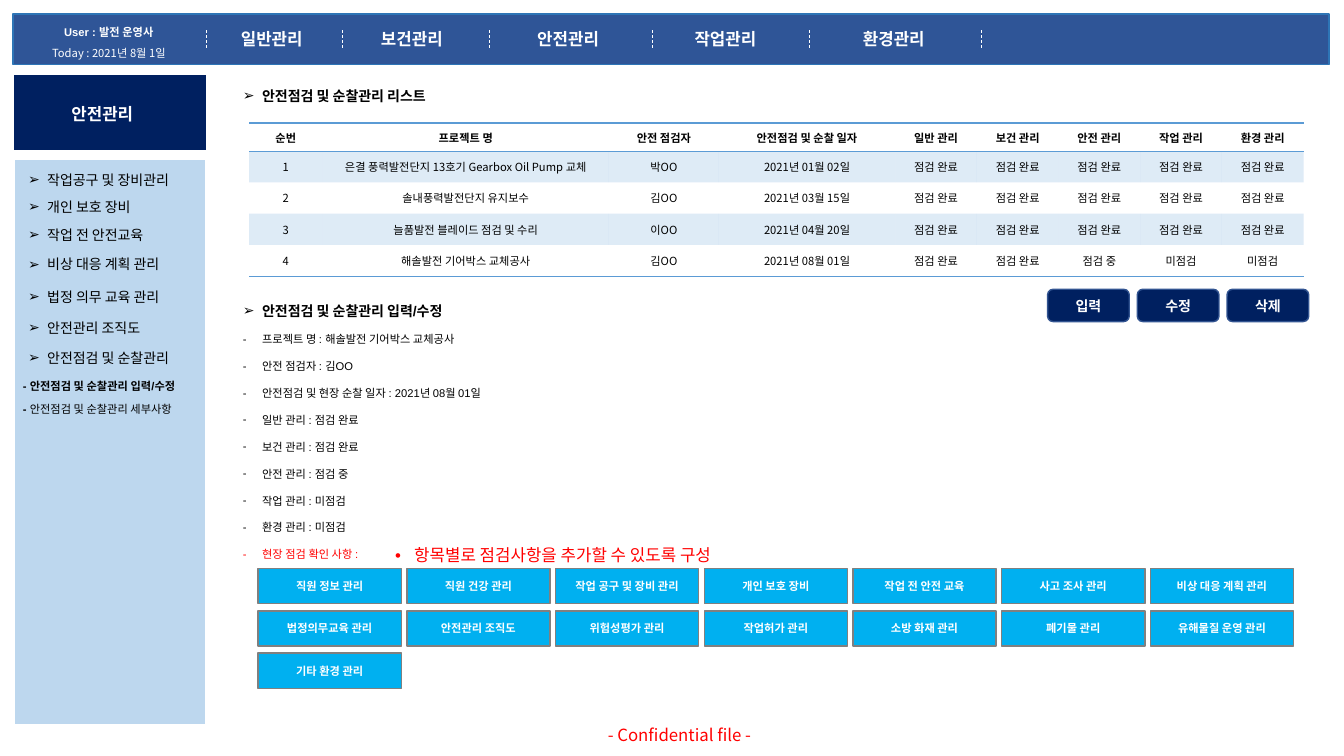
from lxml import etree
from pptx import Presentation
from pptx.dml.color import RGBColor
from pptx.enum import dml, shapes, text
from pptx.oxml import ns
from pptx.util import Inches, Pt

NAVY = RGBColor(0x00, 0x20, 0x60)
BAR_BLUE = RGBColor(0x2F, 0x55, 0x97)
BAR_EDGE = RGBColor(0x2E, 0x75, 0xB6)
BUTTON_EDGE = RGBColor(0x32, 0x54, 0x91)
PALE_BLUE = RGBColor(0xBD, 0xD7, 0xEE)
TABLE_BLUE = RGBColor(0x5B, 0x9B, 0xD5)
SKY = RGBColor(0x00, 0xB0, 0xF0)
GRAY = RGBColor(0x80, 0x80, 0x80)
WHITE = RGBColor(0xFF, 0xFF, 0xFF)
BLACK = RGBColor(0x00, 0x00, 0x00)
RED = RGBColor(0xFF, 0x00, 0x00)
ARIAL = "Arial"
NOTO = "Noto Sans CJK KR"
NO_GRID_STYLE = "{2D5ABB26-0587-4C30-8999-92F81FD0307C}"
RECT = shapes.MSO_SHAPE.RECTANGLE
CENTER = text.PP_ALIGN.CENTER

MENU = [("일반관리", 2.29), ("보건관리", 3.68), ("안전관리", 5.23),
        ("작업관리", 6.79), ("환경관리", 8.46)]
MENU_DIVIDERS = [2.05, 3.4, 4.85, 6.47, 8.03, 9.73]
SIDE_ITEMS = [("작업공구 및 장비관리", 1.65), ("개인 보호 장비", 1.92),
              ("작업 전 안전교육", 2.2), ("비상 대응 계획 관리", 2.49),
              ("법정 의무 교육 관리", 2.81), ("안전관리 조직도", 3.12),
              ("안전점검 및 순찰관리", 3.42)]
DONE = "점검 완료"
GEARBOX_PROJECT = "해솔발전 기어박스 교체공사"
INSPECTIONS = [
    ["순번", "프로젝트 명", "안전 점검자", "안전점검 및 순찰 일자",
     "일반 관리", "보건 관리", "안전 관리", "작업 관리", "환경 관리"],
    ["1", "은결 풍력발전단지 13호기 Gearbox Oil Pump 교체", "박OO",
     "2021년 01월 02일"] + [DONE] * 5,
    ["2", "솔내풍력발전단지 유지보수", "김OO", "2021년 03월 15일"] + [DONE] * 5,
    ["3", "늘품발전 블레이드 점검 및 수리", "이OO", "2021년 04월 20일"] + [DONE] * 5,
    ["4", GEARBOX_PROJECT, "김OO", "2021년 08월 01일",
     DONE, DONE, "점검 중", "미점검", "미점검"],
]
COLUMN_WIDTHS = [0.73, 2.84, 1.09, 1.75] + [0.81] * 5
ROW_HEIGHTS = [0.28] + [0.31] * 4
DETAILS = ["프로젝트 명 : " + GEARBOX_PROJECT, "안전 점검자 : 김OO",
           "안전점검 및 현장 순찰 일자 : 2021년 08월 01일",
           "일반 관리 : 점검 완료", "보건 관리 : 점검 완료", "안전 관리 : 점검 중",
           "작업 관리 : 미점검", "환경 관리 : 미점검", "현장 점검 확인 사항 :"]
CHECK_TOPICS = ["직원 정보 관리", "직원 건강 관리", "작업 공구 및 장비 관리",
                "개인 보호 장비", "작업 전 안전 교육", "사고 조사 관리",
                "비상 대응 계획 관리", "법정의무교육 관리", "안전관리 조직도",
                "위험성평가 관리", "작업허가 관리", "소방 화재 관리",
                "폐기물 관리", "유해물질 운영 관리", "기타 환경 관리"]


def sub(parent, tag, **attributes):
    return etree.SubElement(parent, ns.qn(tag), **attributes)


def write(paragraph, content, size=8, color=BLACK, bold=False, font=ARIAL,
          align=None, spacing=None, before=0, bullet=None):
    """Add a formatted run and set the paragraph's layout."""
    paragraph.alignment = align
    paragraph.line_spacing = spacing
    paragraph.space_before = Pt(before)
    if bullet:
        layout = paragraph._p.get_or_add_pPr()
        layout.set("marL", str(Inches(0.19)))
        layout.set("indent", str(Inches(-0.19)))
        sub(layout, "a:buFont", typeface=ARIAL)
        sub(layout, "a:buChar", char=bullet)
    run = paragraph.add_run()
    run.text = content
    run.font.size, run.font.bold, run.font.name = Pt(size), bold, font
    run.font.color.rgb = color
    sub(run._r.get_or_add_rPr(), "a:ea", typeface=NOTO)


class SlideBuilder:
    def __init__(self, slide):
        self.slide = slide

    def placeholder(self, index, left, top, width, height):
        """Place a template placeholder and return its text frame."""
        holder = self.slide.placeholders[index]
        holder.left, holder.top = Inches(left), Inches(top)
        holder.width, holder.height = Inches(width), Inches(height)
        frame = holder.text_frame
        frame.vertical_anchor = text.MSO_ANCHOR.TOP
        frame.auto_size = text.MSO_AUTO_SIZE.NONE
        return frame

    def label(self, content, left, top, width, height, **style):
        box = self.slide.shapes.add_textbox(
            Inches(left), Inches(top), Inches(width), Inches(height))
        frame = box.text_frame
        frame.word_wrap = True
        frame.auto_size = text.MSO_AUTO_SIZE.SHAPE_TO_FIT_TEXT
        write(frame.paragraphs[0], content, **style)
        return frame

    def block(self, left, top, width, height, fill, edge, edge_width=1,
              content=None, kind=RECT, **style):
        shape = self.slide.shapes.add_shape(
            kind, Inches(left), Inches(top), Inches(width), Inches(height))
        shape.shadow.inherit = False
        shape.fill.solid()
        shape.fill.fore_color.rgb = fill
        shape.line.color.rgb = edge
        shape.line.width = Pt(edge_width)
        if content:
            shape.text_frame.vertical_anchor = text.MSO_ANCHOR.MIDDLE
            write(shape.text_frame.paragraphs[0], content, color=WHITE,
                  bold=True, align=CENTER, **style)

    def divider(self, x, top, bottom):
        line = self.slide.shapes.add_connector(
            shapes.MSO_CONNECTOR.STRAIGHT,
            Inches(x), Inches(top), Inches(x), Inches(bottom))
        line.line.color.rgb = WHITE
        line.line.width = Pt(0.5)
        line.line.dash_style = dml.MSO_LINE.DASH
        sub(line._element.spPr, "a:effectLst")

    def table(self, rows, left, top, widths, heights):
        table = self.slide.shapes.add_table(
            len(rows), len(widths), Inches(left), Inches(top),
            Inches(sum(widths)), Inches(sum(heights))).table
        table.first_row = table.horz_banding = False
        table._tbl.tblPr.find(ns.qn("a:tableStyleId")).text = NO_GRID_STYLE
        for column, width in zip(table.columns, widths):
            column.width = Inches(width)
        for r, (values, height) in enumerate(zip(rows, heights)):
            table.rows[r].height = Inches(height)
            edges = {0: ["a:lnT", "a:lnB"], len(rows) - 1: ["a:lnB"]}.get(r, [])
            for c, value in enumerate(values):
                self.cell(table.cell(r, c), value, r == 0, r % 2 == 1, edges)

    def cell(self, cell, value, header, banded, edges):
        cell.vertical_anchor = text.MSO_ANCHOR.MIDDLE
        write(cell.text_frame.paragraphs[0], value, bold=header, font=NOTO,
              align=CENTER)
        properties = cell._tc.get_or_add_tcPr()
        for edge in edges:
            line = sub(properties, edge, w=str(Pt(1)))
            sub(sub(line, "a:solidFill"), "a:srgbClr", val=str(TABLE_BLUE))
        if banded:
            cell.fill.solid()
            cell.fill.fore_color.rgb = TABLE_BLUE
            sub(properties.find(ns.qn("a:solidFill"))[0], "a:alpha", val="20000")
        else:
            cell.fill.background()


def main():
    deck = Presentation()
    deck.slide_width, deck.slide_height = Inches(13.33), Inches(7.5)
    page = SlideBuilder(deck.slides.add_slide(deck.slide_layouts[1]))

    heading = page.placeholder(0, 2.31, 0.82, 5.4, 0.27)
    write(heading.paragraphs[0], "안전점검 및 순찰관리 리스트", size=10, bold=True,
          align=text.PP_ALIGN.LEFT, bullet="➢")
    details = page.placeholder(1, 2.31, 2.95, 5.4, 2.96)
    write(details.paragraphs[0], "안전점검 및 순찰관리 입력/수정", size=10,
          bold=True, bullet="➢")
    for detail in DETAILS:
        write(details.add_paragraph(), detail, before=9.6, bullet="-",
              color=RED if detail == DETAILS[-1] else BLACK)

    page.block(0.13, 0.73, 1.92, 0.77, NAVY, WHITE, 1.5)
    page.block(0.14, 1.58, 1.9, 5.61, PALE_BLUE, WHITE, 1.5)
    page.table(INSPECTIONS, 2.47, 1.22, COLUMN_WIDTHS, ROW_HEIGHTS)

    page.block(0.13, 0.14, 13.05, 0.5, BAR_BLUE, BAR_EDGE)
    for x in MENU_DIVIDERS:
        page.divider(x, 0.3, 0.49)
    for name, x in MENU:
        page.label(name, x, 0.24, 0.98, 0.3, size=12, color=WHITE, bold=True)
    user = page.label("User : 발전 운영사", 0.31, 0.14, 1.54, 0.48, color=WHITE,
                      bold=True, align=CENTER, spacing=1.5)
    write(user.add_paragraph(), "Today : 2021년 8월 1일", color=WHITE, font=NOTO,
          align=CENTER, spacing=1.5)

    page.label("안전관리", 0.61, 0.98, 0.98, 0.3, size=12, color=WHITE, bold=True)
    for name, y in SIDE_ITEMS:
        page.label(name, 0.18, y, 1.9, 0.27, size=10, bullet="➢")
    page.label("- 안전점검 및 순찰관리 입력/수정", 0.13, 3.71, 2.07, 0.24, bold=True)
    sub_item = page.label("- ", 0.13, 3.94, 2.07, 0.24, bold=True)
    write(sub_item.paragraphs[0], "안전점검 및 순찰관리 세부사항")

    for i, action in enumerate(["입력", "수정", "삭제"]):
        page.block(10.39 + 0.89 * i, 2.87, 0.81, 0.32, NAVY, BUTTON_EDGE,
                   content=action, kind=shapes.MSO_SHAPE.ROUNDED_RECTANGLE,
                   size=10, font=NOTO)
    tile_step = (11.41 - 2.56) / 6
    for i, topic in enumerate(CHECK_TOPICS):
        row, column = divmod(i, 7)
        page.block(2.56 + tile_step * column, 5.64 + 0.42 * row, 1.42, 0.35,
                   SKY, GRAY, content=topic)

    page.label("항목별로 점검사항을 추가할 수 있도록 구성", 3.82, 5.26, 7.34, 0.36,
               size=12, color=RED, font=NOTO, spacing=1.5, bullet="•")
    page.label("- Confidential file -", 5.93, 7.14, 3.17, 0.3, size=12,
               color=RED, font=NOTO)
    deck.save("out.pptx")


if __name__ == "__main__":
    main()
